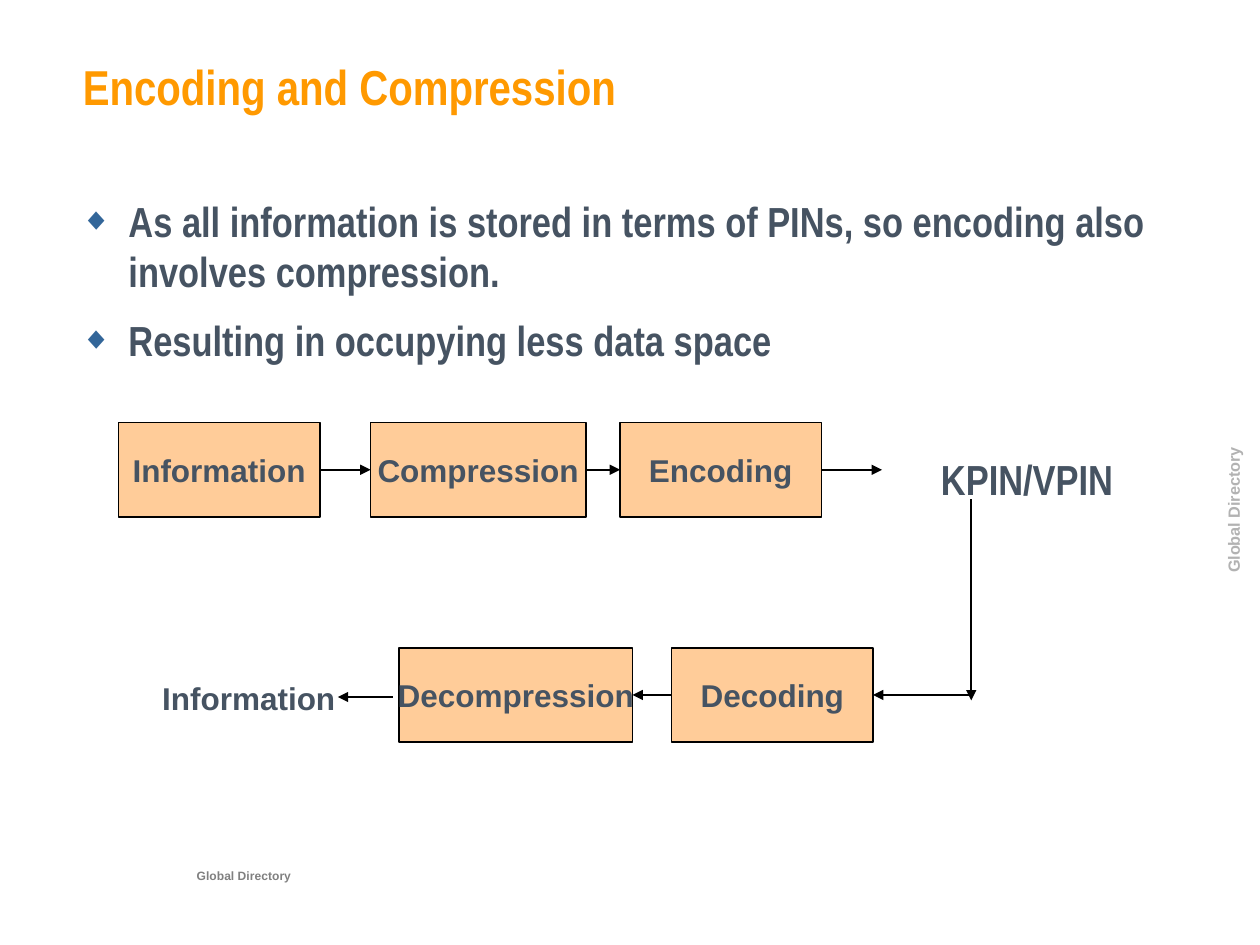
import pptx
import pptx.dml.color
import pptx.enum.shapes
import pptx.enum.text
import pptx.oxml
import pptx.oxml.ns
import pptx.util
from pptx.util import Cm

ALIGN = pptx.enum.text.PP_ALIGN
ANCHOR = pptx.enum.text.MSO_ANCHOR

COLOURS = {
    "title": "FF9900", "text": "465362", "bullet": "336699", "box": "FFCC99",
    "line": "000000", "footer": "808080", "side": "B2B2B2",
}
TITLE = "Encoding and Compression"
BULLETS = [
    "As all information is stored in terms of PINs, so encoding also involves compression.",
    "Resulting in occupying less data space",
]
BOX_HEIGHT = 1.9
# Row top, then (text, left, width) for each box, in centimetres
ROWS = [
    (8.52, [("Information", 2.39, 4.06), ("Compression", 7.47, 4.34), ("Encoding", 12.5, 4.06)]),
    (13.06, [("Decompression", 8.05, 4.7), ("Decoding", 13.54, 4.06)]),
]
# Each end is a (box, side) pair or an (x, y) point in centimetres
LEFT, RIGHT = 1, 3
ARROWS = [
    (("Information", RIGHT), ("Compression", LEFT)),
    (("Compression", RIGHT), ("Encoding", LEFT)),
    (("Encoding", RIGHT), (17.78, 9.47)),
    ((19.58, 10.06), (19.58, 14.12)),
    ((19.6, 14.01), ("Decoding", RIGHT)),
    (("Decoding", LEFT), ("Decompression", RIGHT)),
    ((7.92, 14.05), (6.81, 14.05)),
]


def colour(name):
    return pptx.dml.color.RGBColor.from_string(COLOURS[name])


def write(paragraph, text, size, colour_name, font="Arial", align=ALIGN.LEFT, baseline=None):
    paragraph.alignment = align
    run = paragraph.add_run()
    run.text = text
    run.font.size = pptx.util.Pt(size)
    run.font.name = font
    run.font.bold = True
    run.font.color.rgb = colour(colour_name)
    if baseline is not None:
        run._r.get_or_add_rPr().set("baseline", str(baseline * 1000))


def set_frame(shape, anchor=ANCHOR.TOP, wrap=True, bottom=0.13, top=0.13):
    frame = shape.text_frame
    frame.auto_size = pptx.enum.text.MSO_AUTO_SIZE.NONE
    frame.word_wrap = wrap
    frame.vertical_anchor = anchor
    frame.margin_left = frame.margin_right = Cm(0.25)
    frame.margin_top, frame.margin_bottom = Cm(top), Cm(bottom)
    return frame


def add_text_box(slide, left, top, width, height):
    return slide.shapes.add_textbox(Cm(left), Cm(top), Cm(width), Cm(height))


def add_bullet(paragraph):
    properties = paragraph._p.get_or_add_pPr()
    properties.set("marL", str(Cm(0.97)))
    properties.set("indent", str(-Cm(0.97)))
    namespace = pptx.oxml.ns.nsdecls("a")
    for xml in (
        f'<a:buClr {namespace}><a:srgbClr val="{COLOURS["bullet"]}"/></a:buClr>',
        f'<a:buSzPct {namespace} val="75000"/>',
        f'<a:buFont {namespace} typeface="Arial"/>',
        f'<a:buChar {namespace} char="◆"/>',
    ):
        properties.append(pptx.oxml.parse_xml(xml))


def add_box(slide, text, left, top, width):
    box = slide.shapes.add_shape(
        pptx.enum.shapes.MSO_SHAPE.RECTANGLE, Cm(left), Cm(top), Cm(width), Cm(BOX_HEIGHT))
    box.shadow.inherit = False
    box.fill.solid()
    box.fill.fore_color.rgb = colour("box")
    box.line.color.rgb = colour("line")
    box.line.width = pptx.util.Pt(1)
    frame = set_frame(box, ANCHOR.MIDDLE, wrap=False)
    write(frame.paragraphs[0], text, 18, "text", align=ALIGN.CENTER)
    return box


def add_arrow(slide, boxes, start, end):
    points = [(0, 0) if point[0] in boxes else point for point in (start, end)]
    arrow = slide.shapes.add_connector(
        pptx.enum.shapes.MSO_CONNECTOR.STRAIGHT,
        *(Cm(value) for point in points for value in point))
    if start[0] in boxes:
        arrow.begin_connect(boxes[start[0]], start[1])
    if end[0] in boxes:
        arrow.end_connect(boxes[end[0]], end[1])
    arrow.line.color.rgb = colour("line")
    arrow.line.width = pptx.util.Pt(1)
    namespace = pptx.oxml.ns.nsdecls("a")
    arrow.line._get_or_add_ln().append(
        pptx.oxml.parse_xml(f'<a:tailEnd {namespace} type="triangle"/>'))
    arrow._element.spPr.append(pptx.oxml.parse_xml(f"<a:effectLst {namespace}/>"))


def main():
    presentation = pptx.Presentation()
    presentation.slide_width, presentation.slide_height = Cm(25.4), Cm(19.05)
    slide = presentation.slides.add_slide(presentation.slide_layouts[5])

    footer = add_text_box(slide, 1.02, 17.1, 7.8, 0.84)
    write(set_frame(footer, ANCHOR.MIDDLE).paragraphs[0],
          "Global Directory", 12, "footer", align=ALIGN.CENTER, baseline=-25)
    side_label = add_text_box(slide, 18.95, 9.52, 11.71, 1.52)
    side_label.rotation = 270
    write(set_frame(side_label, ANCHOR.MIDDLE, top=0.25, bottom=0.51).paragraphs[0],
          "Global Directory", 16, "side", align=ALIGN.CENTER, baseline=-25)

    title = slide.shapes.title
    title.left, title.top, title.width, title.height = Cm(1.42), Cm(1), Cm(23.24), Cm(2.54)
    write(set_frame(title).paragraphs[0], TITLE, 28, "title", "Arial Narrow")

    frame = set_frame(add_text_box(slide, 1.37, 3.81, 22.4, 4))
    for index, text in enumerate(BULLETS):
        paragraph = frame.add_paragraph() if index else frame.paragraphs[0]
        add_bullet(paragraph)
        if index:
            paragraph.space_before = pptx.util.Pt(10.5)
        write(paragraph, text, 24, "text", "Arial Narrow")

    boxes = {
        text: add_box(slide, text, left, top, width)
        for top, row in ROWS for text, left, width in row
    }
    for start, end in ARROWS:
        add_arrow(slide, boxes, start, end)

    pin_label = add_text_box(slide, 18.72, 9.02, 4.2, 1.27)
    write(set_frame(pin_label).paragraphs[0], "KPIN/VPIN", 24, "text", "Arial Narrow")
    result_label = add_text_box(slide, 3.02, 13.56, 3.99, 1.02)
    write(set_frame(result_label, wrap=False).paragraphs[0], "Information", 18, "text")

    presentation.save("out.pptx")


if __name__ == "__main__":
    main()
